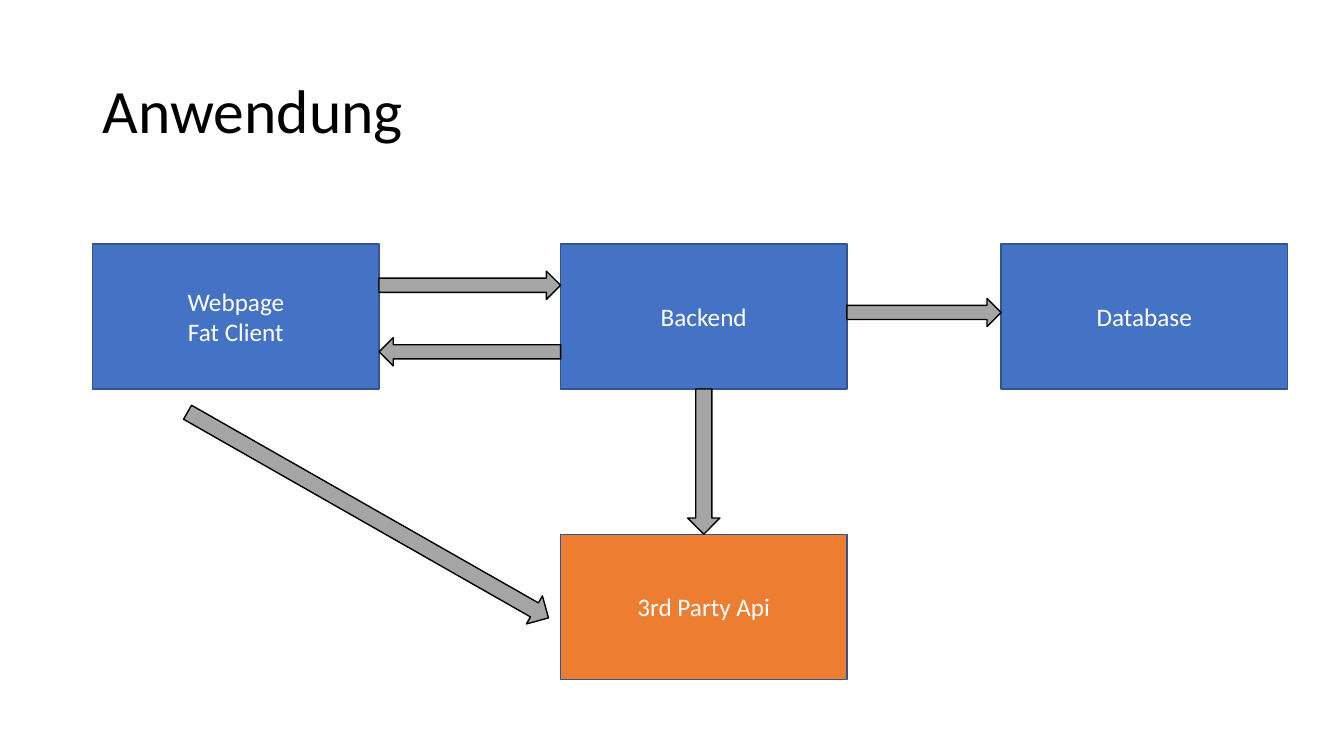
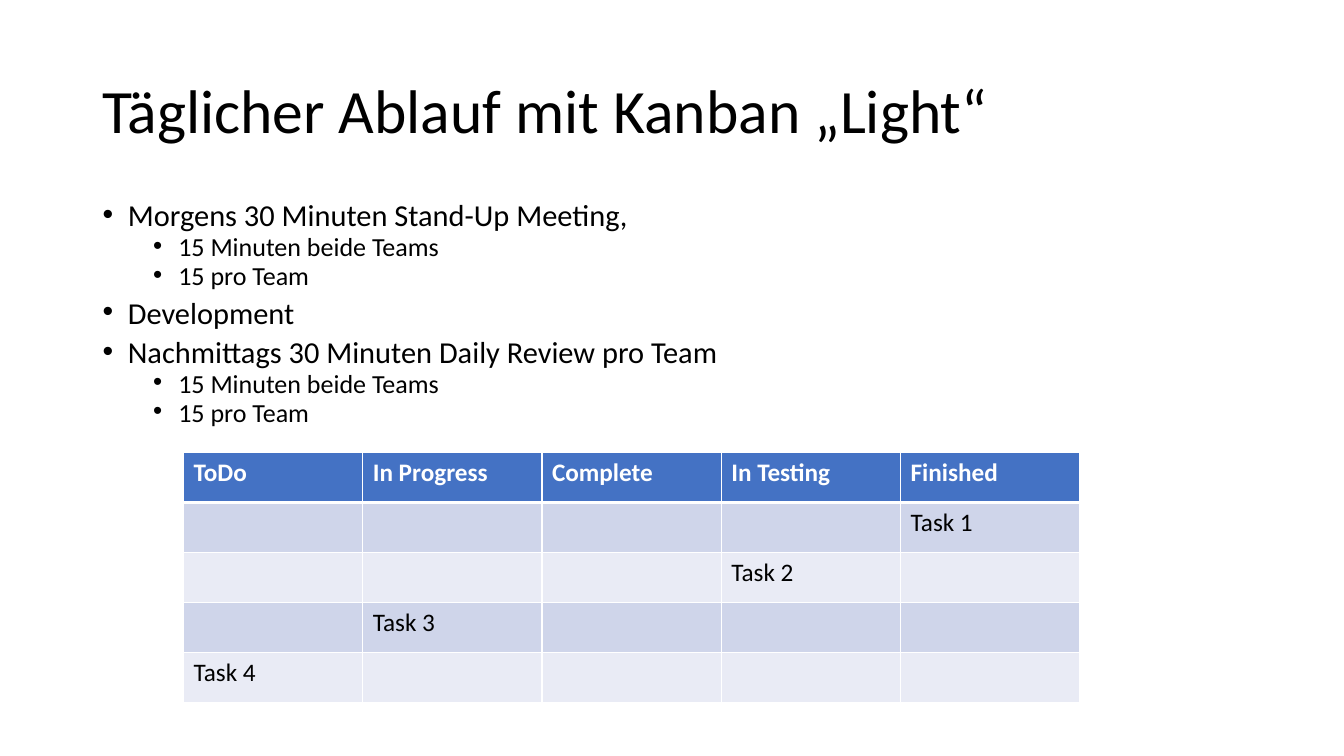
from dataclasses import dataclass
from math import atan2, degrees, hypot

from lxml import etree
from pptx import Presentation
from pptx.dml.color import RGBColor
from pptx.enum.shapes import MSO_SHAPE
from pptx.enum.text import MSO_ANCHOR, PP_ALIGN
from pptx.oxml.ns import qn
from pptx.util import Inches, Pt

RECT, ARROW = MSO_SHAPE.RECTANGLE, MSO_SHAPE.RIGHT_ARROW
TOP, MIDDLE = MSO_ANCHOR.TOP, MSO_ANCHOR.MIDDLE
LEFT, CENTER = PP_ALIGN.LEFT, PP_ALIGN.CENTER


@dataclass(frozen=True)
class Theme:
    font: str = "Calibri"
    black: str = "000000"
    white: str = "FFFFFF"
    blue: str = "4472C4"
    edge: str = "325491"
    orange: str = "ED7D31"
    gray: str = "A5A5A5"
    bands: tuple = ("CFD5EA", "E9EBF5")
    title: float = 44
    text: float = 18
    bullets: tuple = (21.7, 18.6)


T = Theme()

APP_TITLE = "Anwendung"
BOX_W, BOX_H = 2.84, 1.44
UPPER, LOWER = 2.42, 5.3
CLIENT_X, BACKEND_X, DATABASE_X = 0.92, 5.56, 9.93
BOXES = [
    ("Webpage\nFat Client", CLIENT_X, UPPER, T.blue),
    ("Backend", BACKEND_X, UPPER, T.blue),
    ("3rd Party Api", BACKEND_X, LOWER, T.orange),
    ("Database", DATABASE_X, UPPER, T.blue),
]
CLIENT_R, BACKEND_R = CLIENT_X + BOX_W, BACKEND_X + BOX_W
BACKEND_MID = BACKEND_X + BOX_W / 2
THIN, THICK = 0.28, 0.32
ARROWS = [
    ((CLIENT_R, 2.83), (BACKEND_X, 2.83), THIN),
    ((BACKEND_X, 3.49), (CLIENT_R, 3.49), THIN),
    ((BACKEND_MID, UPPER + BOX_H), (BACKEND_MID, LOWER), THICK),
    ((BACKEND_R, 3.1), (DATABASE_X, 3.1), THIN),
    ((1.86, 4.09), (5.44, 6.13), THICK),
]

KANBAN_TITLE = "Täglicher Ablauf mit Kanban „Light“"
AGENDA = [
    (0, "Morgens 30 Minuten Stand-Up Meeting, "),
    (1, "15 Minuten beide Teams"),
    (1, "15 pro Team"),
    (0, "Development"),
    (0, "Nachmittags 30 Minuten Daily Review pro Team"),
    (1, "15 Minuten beide Teams"),
    (1, "15 pro Team"),
]
BULLET_INDENT = (0.25, 0.75)
BULLET_BEFORE = (10, 5)
COLUMNS = ["ToDo", "In Progress", "Complete", "In Testing", "Finished"]
TASKS = [("Task 1", 4), ("Task 2", 3), ("Task 3", 1), ("Task 4", 0)]
BOARD = (1.82, 4.49, 8.89, 2.48)


def rgb(color):
    return RGBColor.from_string(color)


def write(p, text, size=T.text, color=T.black, bold=False, align=LEFT,
          spacing=None, before=0):
    p.alignment = align
    p.space_before = Pt(before)
    if spacing:
        p.line_spacing = spacing
    for i, line in enumerate(text.split("\n")):
        if i:
            p.add_line_break()
        r = p.add_run()
        r.text = line
        f = r.font
        f.name, f.size, f.bold = T.font, Pt(size), bold
        f.color.rgb = rgb(color)


def add_bullet(p, level):
    pPr = p._p.get_or_add_pPr()
    pPr.set("marL", str(Inches(BULLET_INDENT[level])))
    pPr.set("indent", str(Inches(-0.25)))
    etree.SubElement(pPr, qn("a:buFont")).set("typeface", "Arial")
    etree.SubElement(pPr, qn("a:buChar")).set("char", "•")


def add_text_frame(s, x, y, w, h, anchor=TOP):
    tf = s.shapes.add_textbox(*map(Inches, (x, y, w, h))).text_frame
    tf.word_wrap = True
    tf.vertical_anchor = anchor
    return tf


def add_shape(s, kind, x, y, w, h, fill, line):
    sp = s.shapes.add_shape(kind, *map(Inches, (x, y, w, h)))
    sp.shadow.inherit = False
    sp.fill.solid()
    sp.fill.fore_color.rgb = rgb(fill)
    sp.line.color.rgb = rgb(line)
    sp.line.width = Pt(1)
    return sp


def add_arrow(s, start, end, thickness):
    (x1, y1), (x2, y2) = start, end
    length = hypot(x2 - x1, y2 - y1)
    x, y = (x1 + x2 - length) / 2, (y1 + y2 - thickness) / 2
    sp = add_shape(s, ARROW, x, y, length, thickness, T.gray, T.black)
    sp.rotation = degrees(atan2(y2 - y1, x2 - x1))


def set_borders(cell, bottom):
    tcPr = cell._tc.get_or_add_tcPr()
    sides = {"lnL": 1, "lnR": 1, "lnT": 1, "lnB": bottom}
    for i, (side, width) in enumerate(sides.items()):
        ln = etree.Element(qn("a:" + side), w=str(Pt(width)))
        fill = etree.SubElement(ln, qn("a:solidFill"))
        etree.SubElement(fill, qn("a:srgbClr")).set("val", T.white)
        tcPr.insert(i, ln)


def add_board(s):
    rows, cols = len(TASKS) + 1, len(COLUMNS)
    table = s.shapes.add_table(rows, cols, *map(Inches, BOARD)).table
    for col in table.columns:
        col.width = Inches(BOARD[2] / cols)
    for row in table.rows:
        row.height = Inches(BOARD[3] / rows)
    grid = [COLUMNS] + [[task if c == at else "" for c in range(cols)]
                        for task, at in TASKS]
    for r, texts in enumerate(grid):
        header = r == 0
        for c, text in enumerate(texts):
            cell = table.cell(r, c)
            cell.fill.solid()
            cell.fill.fore_color.rgb = rgb(T.blue if header else T.bands[(r - 1) % 2])
            set_borders(cell, bottom=3 if header else 1)
            if text:
                write(cell.text_frame.paragraphs[0], text, bold=header,
                      color=T.white if header else T.black)


def add_slide(prs, title):
    s = prs.slides.add_slide(prs.slide_layouts[6])
    tf = add_text_frame(s, 0.92, 0.4, 11.5, 1.45, anchor=MIDDLE)
    write(tf.paragraphs[0], title, size=T.title, spacing=0.9)
    return s


def build_application(prs):
    s = add_slide(prs, APP_TITLE)
    for text, x, y, fill in BOXES:
        tf = add_shape(s, RECT, x, y, BOX_W, BOX_H, fill, T.edge).text_frame
        tf.word_wrap = True
        tf.vertical_anchor = MIDDLE
        write(tf.paragraphs[0], text, color=T.white, align=CENTER)
    for start, end, thickness in ARROWS:
        add_arrow(s, start, end, thickness)


def build_kanban(prs):
    s = add_slide(prs, KANBAN_TITLE)
    tf = add_text_frame(s, 0.92, 2, 11.5, 2.34)
    for i, (level, text) in enumerate(AGENDA):
        p = tf.add_paragraph() if i else tf.paragraphs[0]
        p.level = level
        write(p, text, size=T.bullets[level], spacing=0.7,
              before=BULLET_BEFORE[level])
        add_bullet(p, level)
    add_board(s)


prs = Presentation()
prs.slide_width, prs.slide_height = Inches(13.33), Inches(7.5)
build_application(prs)
build_kanban(prs)
prs.save("out.pptx")
